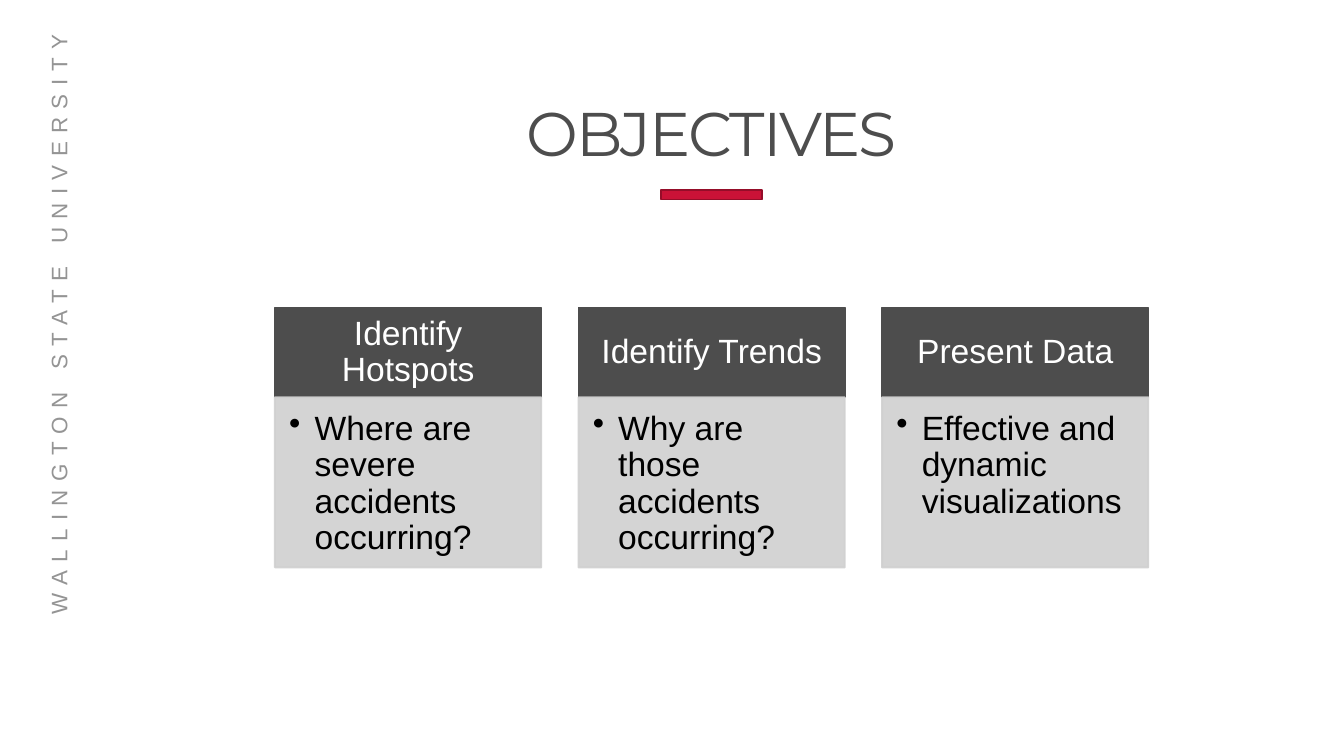
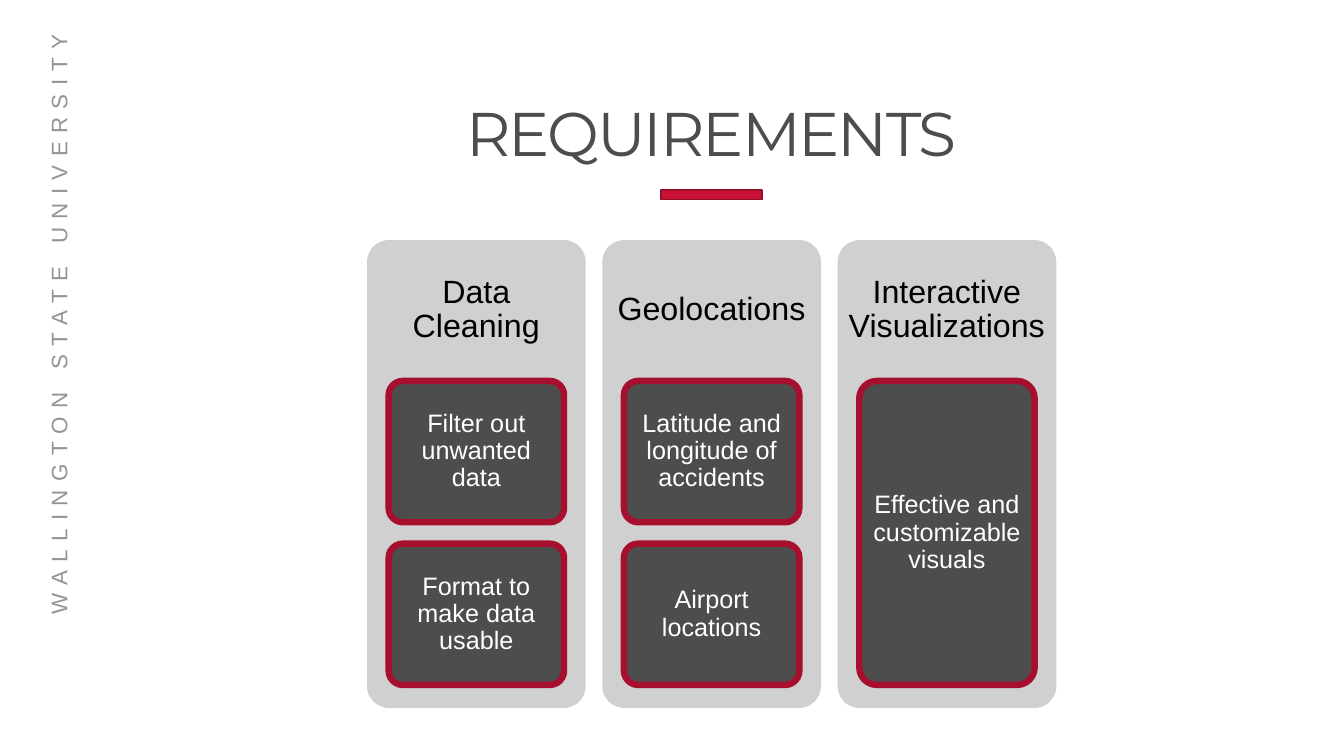
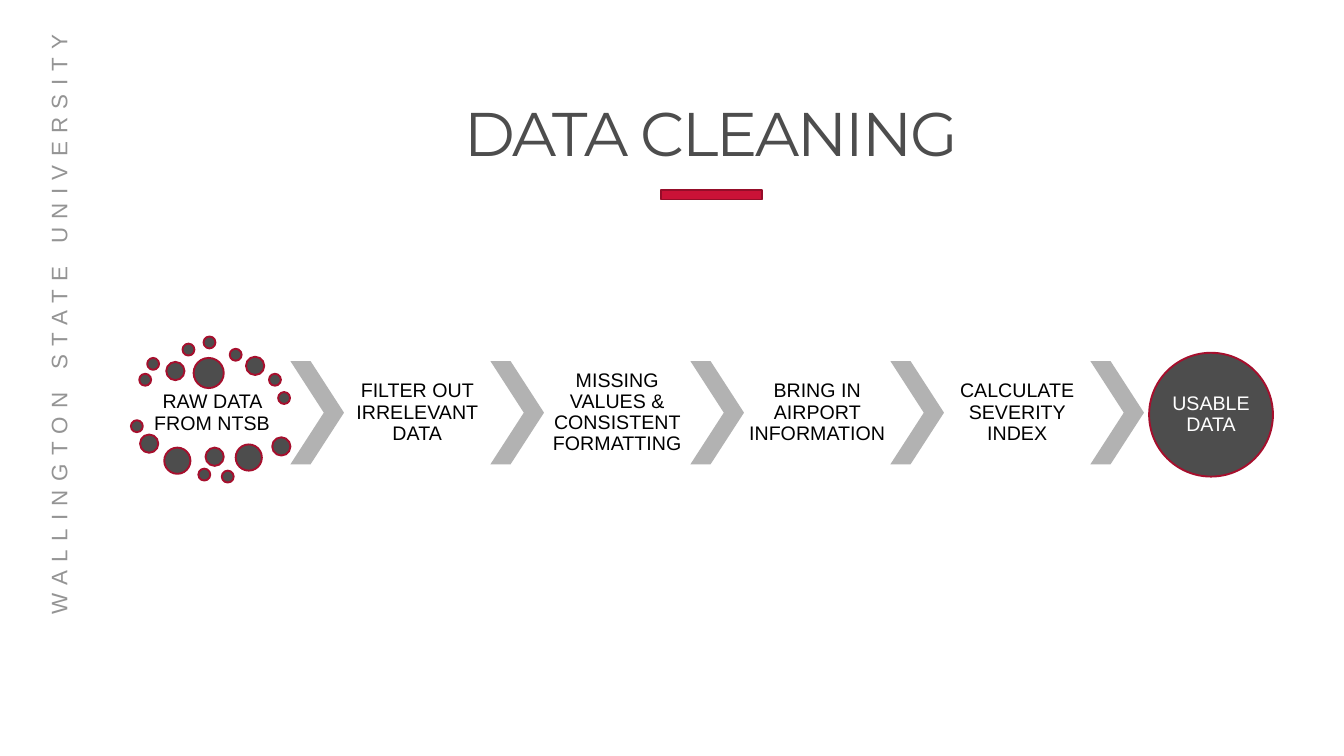
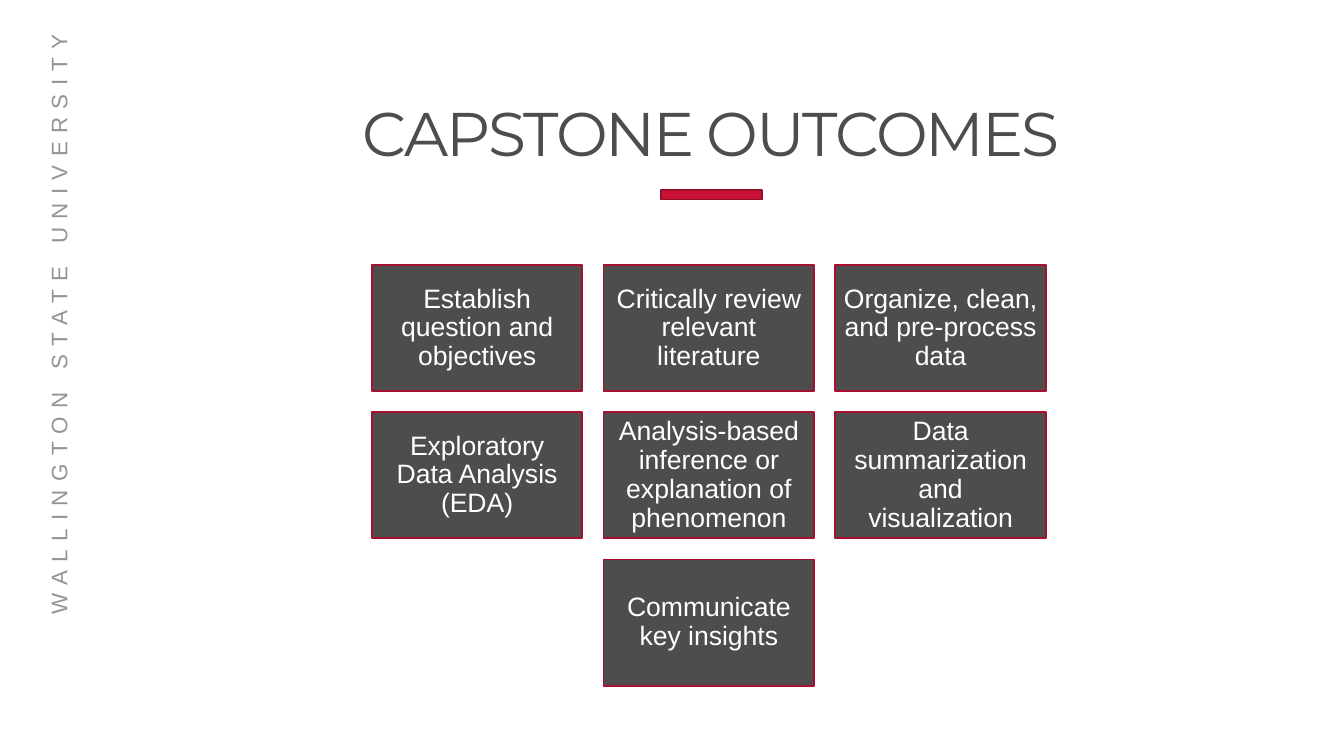
import pptx
import pptx.util
import pptx.dml.color
import pptx.enum.shapes
import pptx.enum.text
import pptx.oxml.ns
import lxml.etree

Cm, Pt = pptx.util.Cm, pptx.util.Pt
SHAPE = pptx.enum.shapes.MSO_SHAPE
ALIGN = pptx.enum.text.PP_ALIGN
ANCHOR = pptx.enum.text.MSO_ANCHOR
qn = pptx.oxml.ns.qn

# Content
UNIVERSITY = "WALLINGTON STATE UNIVERSITY"
OBJECTIVES = [
    ("Identify Hotspots", "Where are severe accidents occurring?"),
    ("Identify Trends", "Why are those accidents occurring?"),
    ("Present Data", "Effective and dynamic visualizations"),
]
REQUIREMENTS = [
    ("Data Cleaning", ["Filter out unwanted data", "Format to make data usable"]),
    ("Geolocations", ["Latitude and longitude of accidents", "Airport locations"]),
    ("Interactive Visualizations", ["Effective and customizable visuals"]),
]
RAW_DATA, USABLE_DATA = "RAW DATA FROM NTSB", "USABLE DATA"
CLEANING_STEPS = [
    "FILTER OUT IRRELEVANT DATA",
    "MISSING VALUES & CONSISTENT FORMATTING",
    "BRING IN AIRPORT INFORMATION",
    "CALCULATE SEVERITY INDEX",
]
# Scattered raw data dots: diameter -> top left corners, in cm
DOTS = {
    0.3: [(3.51, 9.42), (3.71, 9.02), (4.6, 8.66), (5.13, 8.48), (5.79, 8.79),
          (6.78, 9.42), (7.01, 9.88), (3.3, 10.59), (5, 11.81), (5.59, 11.86)],
    0.46: [(4.19, 9.12), (6.2, 8.99), (3.53, 10.95), (5.18, 11.28), (6.86, 11.02)],
    0.66: [(4.14, 11.28), (5.94, 11.2)],
    0.76: [(4.88, 9.02)],
}
OUTCOMES = [
    ["Establish question and objectives", "Critically review relevant literature",
     "Organize, clean, and pre-process data"],
    ["Exploratory Data Analysis (EDA)",
     "Analysis-based inference or explanation of phenomenon",
     "Data summarization and visualization"],
    ["Communicate key insights"],
]

# Shared style
GRAY, PALE, MID, RAIL = "4D4D4D", "D0D0D0", "B2B2B2", "949494"
CRIMSON, BAND, BAND_EDGE = "A60F2D", "CA1237", "950D29"
WHITE, BLACK = "FFFFFF", "000000"
THIN, THICK = 1.35, 4.6


def rgb(value):
    return pptx.dml.color.RGBColor.from_string(value)


def write(shape, text, size, color=WHITE, font="Arial", align=ALIGN.CENTER,
          anchor=ANCHOR.MIDDLE, insets=(0, 0, 0, 0), spacing=0, line_spacing=0.9):
    """Fill a shape with one paragraph; insets are left, top, right, bottom in cm."""
    frame = shape.text_frame
    left, top, right, bottom = map(Cm, insets)
    frame_format = {"word_wrap": True, "vertical_anchor": anchor, "margin_left": left,
                    "margin_top": top, "margin_right": right, "margin_bottom": bottom}
    for name, value in frame_format.items():
        setattr(frame, name, value)
    paragraph = frame.paragraphs[0]
    paragraph.alignment, paragraph.line_spacing = align, line_spacing
    run = paragraph.add_run()
    run.text = text
    for name, value in {"name": font, "size": Pt(size)}.items():
        setattr(run.font, name, value)
    run.font.color.rgb = rgb(color)
    if spacing:
        run.font._element.set("spc", str(int(spacing * 100)))
    return paragraph


def add_label(slide, box, text, size, color=BLACK, **text_format):
    label = slide.shapes.add_textbox(*map(Cm, box))
    write(label, text, size, color, **text_format)
    return label


def add_block(slide, kind, box, fill, edge=None, width=THIN, adjust=None):
    block = slide.shapes.add_shape(kind, *map(Cm, box))
    block.shadow.inherit = False
    block.fill.solid()
    block.fill.fore_color.rgb = rgb(fill)
    if edge:
        block.line.color.rgb = rgb(edge)
        block.line.width = Pt(width)
    else:
        block.line.fill.background()
    if adjust is not None:
        block.adjustments[0] = adjust
    return block


def make_translucent(block, percent):
    for color in block._element.spPr.iter(qn("a:srgbClr")):
        lxml.etree.SubElement(color, qn("a:alpha")).set("val", str(percent * 1000))


def add_bullet(paragraph, indent):
    properties = paragraph._p.get_or_add_pPr()
    properties.set("marL", str(Cm(indent)))
    properties.set("indent", str(-Cm(indent)))
    lxml.etree.SubElement(properties, qn("a:buChar")).set("char", "•")


def start_slide(deck, title):
    slide = deck.slides.add_slide(deck.slide_layouts[6])
    rail = add_label(slide, (-6.4, 7.39, 15.75, 0.94), UNIVERSITY, 16, RAIL, spacing=6,
                     align=ALIGN.LEFT, anchor=ANCHOR.TOP, line_spacing=1,
                     insets=(0.25, 0.13, 0.25, 0.13))
    rail.rotation = 270
    add_block(slide, SHAPE.RECTANGLE, (16.66, 4.78, 2.54, 0.25), BAND, BAND_EDGE)
    add_label(slide, (4.95, 0.99, 25.96, 3.3), title, 44, GRAY, font="Montserrat",
              anchor=ANCHOR.BOTTOM, spacing=-1.5)
    return slide


def build_objectives(deck):
    slide = start_slide(deck, "OBJECTIVES")
    left, top, width, gap = 6.93, 7.75, 6.71, 0.94
    head_height, body_height = 2.26, 4.29
    for column, (heading, question) in enumerate(OBJECTIVES):
        x = left + column * (width + gap)
        head = add_block(slide, SHAPE.RECTANGLE, (x, top, width, head_height), GRAY, GRAY)
        write(head, heading, 24, insets=(0.48, 0.28, 0.48, 0.28))
        body = add_block(slide, SHAPE.RECTANGLE,
                         (x, top + head_height, width, body_height), PALE, PALE)
        make_translucent(body, 90)
        bullet = write(body, question, 24, BLACK, align=ALIGN.LEFT, anchor=ANCHOR.TOP,
                       insets=(0.36, 0.36, 0.48, 0.53))
        add_bullet(bullet, 0.64)


def build_requirements(deck):
    slide = start_slide(deck, "REQUIREMENTS")
    left, top, width, height, pitch = 9.25, 6.05, 5.51, 11.79, 5.93
    head_height, card_top, card_width = 3.53, 9.6, 4.42
    cards_height, card_gap = 7.66, 0.54
    for column, (heading, needs) in enumerate(REQUIREMENTS):
        x = left + column * pitch
        add_block(slide, SHAPE.ROUNDED_RECTANGLE, (x, top, width, height), PALE, adjust=0.1)
        add_label(slide, (x, top, width, head_height), heading, 23,
                  insets=(0.24, 0.24, 0.24, 0.24))
        # Cards share the column height equally
        card_height = (cards_height + card_gap) / len(needs) - card_gap
        for row, need in enumerate(needs):
            box = (x + (width - card_width) / 2, card_top + row * (card_height + card_gap),
                   card_width, card_height)
            card = add_block(slide, SHAPE.ROUNDED_RECTANGLE, box, GRAY, CRIMSON, THICK, 0.1)
            write(card, need, 18, insets=(0.13, 0.1, 0.13, 0.1))


def build_cleaning(deck):
    slide = start_slide(deck, "DATA CLEANING")
    left, top, height = 7.32, 9.1, 2.6
    chevron_width, step_width = 1.35, 3.69
    margins = (0.05, 0.05, 0.05, 0.05)
    # Raw data cloud
    add_label(slide, (3.5, 9.8, step_width, 1.22), RAW_DATA, 14, insets=margins)
    for diameter, corners in DOTS.items():
        for x, y in corners:
            add_block(slide, SHAPE.OVAL, (x, y, diameter, diameter), GRAY, CRIMSON)
    # A chevron leads to each step, and one more to the result
    for index in range(len(CLEANING_STEPS) + 1):
        x = left + index * (chevron_width + step_width)
        add_block(slide, SHAPE.CHEVRON, (x, top, chevron_width, height), MID, adjust=0.623)
        if index < len(CLEANING_STEPS):
            add_label(slide, (x + chevron_width, top, step_width, height),
                      CLEANING_STEPS[index], 14, insets=margins)
    result = add_block(slide, SHAPE.OVAL, (28.96, 8.89, 3.12, 3.12), GRAY, CRIMSON)
    write(result, USABLE_DATA, 14)


def build_outcomes(deck):
    slide = start_slide(deck, "CAPSTONE OUTCOMES")
    left, top, width, height, gap = 9.37, 6.68, 5.31, 3.18, 0.53
    columns = max(map(len, OUTCOMES))
    for row, outcomes in enumerate(OUTCOMES):
        first = (columns - len(outcomes)) / 2  # centres a short row
        for column, outcome in enumerate(outcomes):
            box = (left + (first + column) * (width + gap), top + row * (height + gap),
                   width, height)
            tile = add_block(slide, SHAPE.RECTANGLE, box, GRAY, CRIMSON)
            write(tile, outcome, 19, insets=(0.2, 0.2, 0.2, 0.2))


def main():
    deck = pptx.Presentation()
    deck.slide_width, deck.slide_height = Cm(33.87), Cm(19.05)
    for build in (build_objectives, build_requirements, build_cleaning, build_outcomes):
        build(deck)
    deck.save("out.pptx")


if __name__ == "__main__":
    main()
